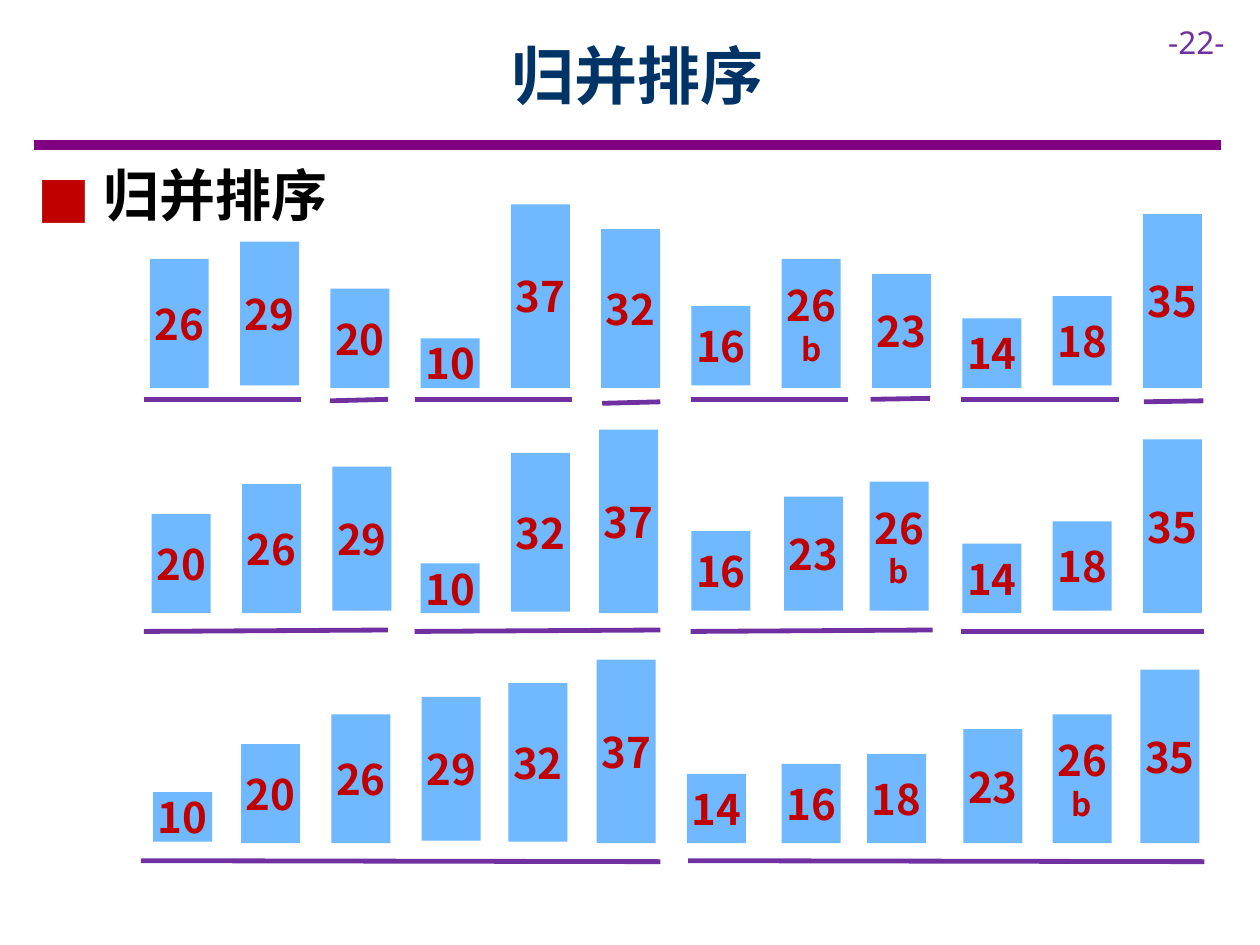
from lxml import etree
from pptx import Presentation
from pptx import util as u
from pptx.dml.color import RGBColor
from pptx.enum import shapes, text
from pptx.oxml import ns

COLORS = {
    "title": "003366", "rule": "800080", "accent": "7030A0",
    "bar": "70B8FF", "red": "C00000", "black": "000000",
}
CJK = "Noto Sans CJK SC"
BAR_WIDTH = 1.19
BAR_PITCH = 1.82
CM_PER_UNIT = 0.1


def color(name):
    return RGBColor.from_string(COLORS[name])


def add_child(parent, tag, **attributes):
    return etree.SubElement(parent, ns.qn(tag), attributes)


def write(paragraph, content, size, ink, font=CJK, bold=True,
          align=text.PP_ALIGN.LEFT):
    paragraph.alignment = align
    run = paragraph.add_run()
    run.text = content
    run.font.size = u.Pt(size)
    run.font.bold = bold
    run.font.name = font
    run.font.color.rgb = color(ink)
    add_child(run.font._element, "a:ea", typeface=font)


def add_line(slide, start, end, ink, width):
    line = slide.shapes.add_connector(
        shapes.MSO_CONNECTOR.STRAIGHT, *map(u.Cm, start + end))
    line.line.color.rgb = color(ink)
    line.line.width = u.Pt(width)
    add_child(line._element.spPr, "a:effectLst")


def add_text_box(slide, left, top, width, height):
    box = slide.shapes.add_textbox(*map(u.Cm, (left, top, width, height)))
    box.text_frame.word_wrap = True
    box.text_frame.auto_size = text.MSO_AUTO_SIZE.SHAPE_TO_FIT_TEXT
    return box.text_frame.paragraphs[0]


def add_header(slide, left, top, width, height):
    title = slide.shapes.title
    title.left, title.top = u.Cm(left), u.Cm(top)
    title.width, title.height = u.Cm(width), u.Cm(height)
    title.text_frame.vertical_anchor = text.MSO_ANCHOR.MIDDLE
    write(title.text_frame.paragraphs[0], "归并排序", 36, "title",
          align=text.PP_ALIGN.CENTER)
    rule_top = top + height + 0.15
    add_line(slide, (0.69, rule_top), (24.61, rule_top), "rule", 6)
    number = add_text_box(slide, left + width - 0.1, top + 0.1, 2.11, 1.02)
    write(number, "-22-", 18, "accent", font="Noto Sans", bold=False)


def add_bullet(slide, left, top, width, height):
    paragraph = add_text_box(slide, left, top, width, height)
    write(paragraph, " 归并排序", 32, "black")
    paragraph.space_after = u.Pt(6)
    properties = paragraph._p.get_or_add_pPr()
    properties.set("marL", str(u.Cm(0.95)))
    properties.set("indent", str(u.Cm(-0.95)))
    bullet_color = add_child(properties, "a:buClr")
    add_child(bullet_color, "a:srgbClr", val=COLORS["red"])
    add_child(properties, "a:buFont", typeface="Noto Sans")
    add_child(properties, "a:buChar", char="■")


def add_bar(slide, label, left, bottom):
    height = int(label[:2]) * CM_PER_UNIT
    bar = slide.shapes.add_shape(
        shapes.MSO_SHAPE.RECTANGLE,
        *map(u.Cm, (left, bottom - height, BAR_WIDTH, height)))
    bar.shadow.inherit = False
    bar.fill.solid()
    bar.fill.fore_color.rgb = color("bar")
    bar.line.fill.background()
    frame = bar.text_frame
    frame.word_wrap = True
    frame.vertical_anchor = text.MSO_ANCHOR.MIDDLE
    frame.margin_left = frame.margin_right = 0
    frame.margin_top = frame.margin_bottom = u.Cm(0.25)
    write(frame.paragraphs[0], label[:2], 24, "red",
          align=text.PP_ALIGN.CENTER)
    if label[2:]:
        write(frame.add_paragraph(), label[2:], 18, "red",
              align=text.PP_ALIGN.CENTER)


def add_merge_row(slide, left, baseline, bars, runs):
    for column, (label, shift, lift) in enumerate(bars):
        add_bar(slide, label, left + column * BAR_PITCH + shift,
                baseline - lift)
    for start, end, start_drop, end_drop in runs:
        add_line(slide, (left + start, baseline + start_drop),
                 (left + end, baseline + end_drop), "accent", 2.75)


MERGE_ROWS = [
    (7.82,
     [("26", 0, 0), ("29", 0, 0.05), ("20", 0, 0), ("10", 0, 0),
      ("37", 0, 0), ("32", 0, 0), ("16", 0, 0.05), ("26b", 0, 0),
      ("23", 0, 0), ("14", 0, 0), ("18", 0, 0.05), ("35", 0, 0)],
     [(-0.12, 3.05, 0.23, 0.23), (3.63, 4.8, 0.26, 0.23),
      (5.34, 8.51, 0.23, 0.23), (9.12, 10.29, 0.31, 0.28),
      (10.9, 14.07, 0.23, 0.23), (14.53, 15.73, 0.23, 0.21),
      (16.36, 19.54, 0.23, 0.23), (20.04, 21.24, 0.28, 0.26)]),
    (12.36,
     [("20", 0.04, 0), ("26", 0.04, 0), ("29", 0.04, 0.05), ("10", 0, 0),
      ("32", 0, 0.03), ("37", -0.04, 0), ("16", 0, 0.05), ("23", 0.05, 0.05),
      ("26b", -0.05, 0.05), ("14", 0, 0), ("18", 0, 0.05), ("35", 0, 0)],
     [(-0.12, 4.8, 0.37, 0.34), (5.34, 10.29, 0.37, 0.34),
      (10.9, 15.78, 0.37, 0.34), (16.36, 21.26, 0.37, 0.37)]),
    (17.0,
     [("10", 0.07, 0.03), ("20", 0.02, 0), ("26", 0.02, 0),
      ("29", 0.02, 0.05), ("32", -0.05, 0.03), ("37", -0.09, 0),
      ("14", -0.09, 0), ("16", 0, 0), ("18", -0.1, 0),
      ("23", 0.02, 0), ("26b", 0, 0), ("35", -0.05, 0)],
     [(-0.18, 10.29, 0.35, 0.37), (10.85, 21.26, 0.35, 0.37)]),
]

presentation = Presentation()
presentation.slide_width = u.Cm(25.4)
presentation.slide_height = u.Cm(19.05)
slide = presentation.slides.add_slide(presentation.slide_layouts[5])
add_header(slide, 2.29, 0.23, 21.11, 2.54)
add_bullet(slide, 0.51, 3.12, 24, 1.63)
for baseline, bars, runs in MERGE_ROWS:
    add_merge_row(slide, 3.02, baseline, bars, runs)
presentation.save("out.pptx")
